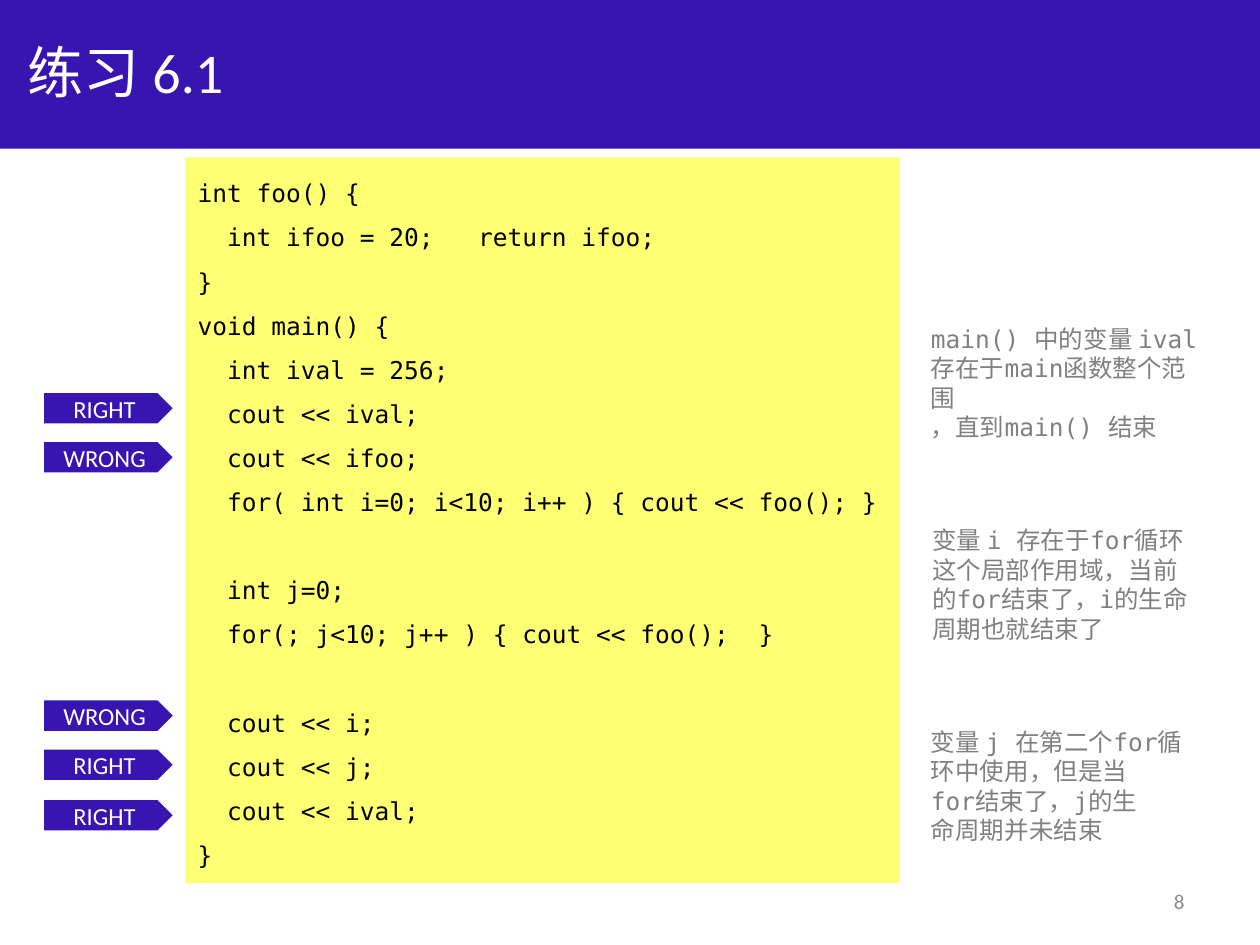
import pptx
import pptx.util
import pptx.dml.color
import pptx.enum.shapes
import pptx.enum.text

Inches = pptx.util.Inches
RGBColor = pptx.dml.color.RGBColor
SHAPES = pptx.enum.shapes.MSO_SHAPE
ANCHOR = pptx.enum.text.MSO_ANCHOR
ALIGN = pptx.enum.text.PP_ALIGN

INDIGO = RGBColor(0x38, 0x14, 0xB0)
YELLOW = RGBColor(0xFF, 0xFF, 0x73)
WHITE = RGBColor(0xFF, 0xFF, 0xFF)
BLACK = RGBColor(0x00, 0x00, 0x00)
GREY = RGBColor(0x80, 0x80, 0x80)
LIGHT_GREY = RGBColor(0x8C, 0x8C, 0x8C)

TITLE_FORMAT = {"name": "Calibri", "size": pptx.util.Pt(32), "color": WHITE}
CODE_FORMAT = {"name": "DejaVu Sans Mono", "size": pptx.util.Pt(14), "color": BLACK}
NOTE_FORMAT = {**CODE_FORMAT, "color": GREY}
FLAG_FORMAT = {"name": "Calibri", "size": pptx.util.Pt(14), "color": WHITE}
NUMBER_FORMAT = {"name": "Calibri", "size": pptx.util.Pt(12), "color": LIGHT_GREY}

CODE = """int foo() {
  int ifoo = 20;   return ifoo;
}
void main() {
  int ival = 256;
  cout << ival;
  cout << ifoo;
  for( int i=0; i<10; i++ ) { cout << foo(); }
  
  int j=0;
  for(; j<10; j++ ) { cout << foo();  }
  
  cout << i;
  cout << j;
  cout << ival;
}"""

VERDICTS = [(3.12, "RIGHT"), (3.51, "WRONG"), (5.56, "WRONG"), (5.95, "RIGHT"), (6.35, "RIGHT")]

SCOPE_NOTES = [
    ((7.29, 2.52, 2.4, 0.81), "main() 中的变量 ival \n存在于main函数整个范围\n，直到main() 结束"),
    ((7.3, 4.12, 2.23, 1.04), "变量 i 存在于for循环\n这个局部作用域，当前\n的for结束了，i的生命\n周期也就结束了"),
    ((7.29, 5.72, 2.23, 1.04), "变量 j 在第二个for循\n环中使用，但是当\nfor结束了，j的生\n命周期并未结束"),
]


def lengths(box):
    """Convert a box given in inches to lengths."""
    return [Inches(value) for value in box]


def write_text(shape, text, font_format, anchor=ANCHOR.TOP, **paragraph_format):
    """Write one formatted paragraph for each line of text."""
    frame = shape.text_frame
    frame.word_wrap = True
    frame.auto_size = pptx.enum.text.MSO_AUTO_SIZE.NONE
    frame.vertical_anchor = anchor
    frame.text = text
    for paragraph in frame.paragraphs:
        for name, value in {"alignment": ALIGN.LEFT, **paragraph_format}.items():
            setattr(paragraph, name, value)
        for run in paragraph.runs:
            for name, value in font_format.items():
                if name == "color":
                    run.font.color.rgb = value
                else:
                    setattr(run.font, name, value)


def add_block(slide, kind, box, color):
    """Add a flat filled shape without outline."""
    shape = slide.shapes.add_shape(kind, *lengths(box))
    shape.shadow.inherit = False
    shape.fill.solid()
    shape.fill.fore_color.rgb = color
    shape.line.fill.background()
    return shape


def add_header(slide, box, text):
    """Place the title on a coloured band."""
    left, top, width, height = box
    band = add_block(slide, SHAPES.RECTANGLE, box, INDIGO)
    title = slide.shapes.title
    title.element.addprevious(band.element)
    title_box = (left + 0.12, top + 0.06, width - 1, height - 0.17)
    for name, value in zip(("left", "top", "width", "height"), lengths(title_box)):
        setattr(title, name, value)
    write_text(title, text, TITLE_FORMAT, ANCHOR.MIDDLE)


def add_code(slide, box, text):
    """Place the program listing on its panel."""
    panel = add_block(slide, SHAPES.RECTANGLE, box, YELLOW)
    write_text(panel, text, CODE_FORMAT, line_spacing=1.5)


def add_verdicts(slide, left, verdicts):
    """Place a verdict flag beside each judged line of code."""
    for top, verdict in verdicts:
        flag = add_block(slide, SHAPES.PENTAGON, (left, top, 1.02, 0.24), INDIGO)
        write_text(flag, verdict, FLAG_FORMAT, ANCHOR.MIDDLE, alignment=ALIGN.CENTER)


def add_label(slide, box, text, font_format, **text_format):
    """Place a text box."""
    write_text(slide.shapes.add_textbox(*lengths(box)), text, font_format, **text_format)


def main():
    """Build and save the exercise slide."""
    presentation = pptx.Presentation()
    presentation.slide_width, presentation.slide_height = lengths((10, 7.5))
    slide = presentation.slides.add_slide(presentation.slide_layouts[5])
    add_header(slide, (0, 0, 10, 1.18), "练习 6.1")
    add_code(slide, (1.47, 1.25, 5.67, 5.76), CODE)
    add_verdicts(slide, 0.35, VERDICTS)
    for box, text in SCOPE_NOTES:
        add_label(slide, box, text, NOTE_FORMAT)
    add_label(slide, (7.17, 6.95, 2.33, 0.4), "8", NUMBER_FORMAT,
              anchor=ANCHOR.MIDDLE, alignment=ALIGN.RIGHT)
    presentation.save("out.pptx")


main()
